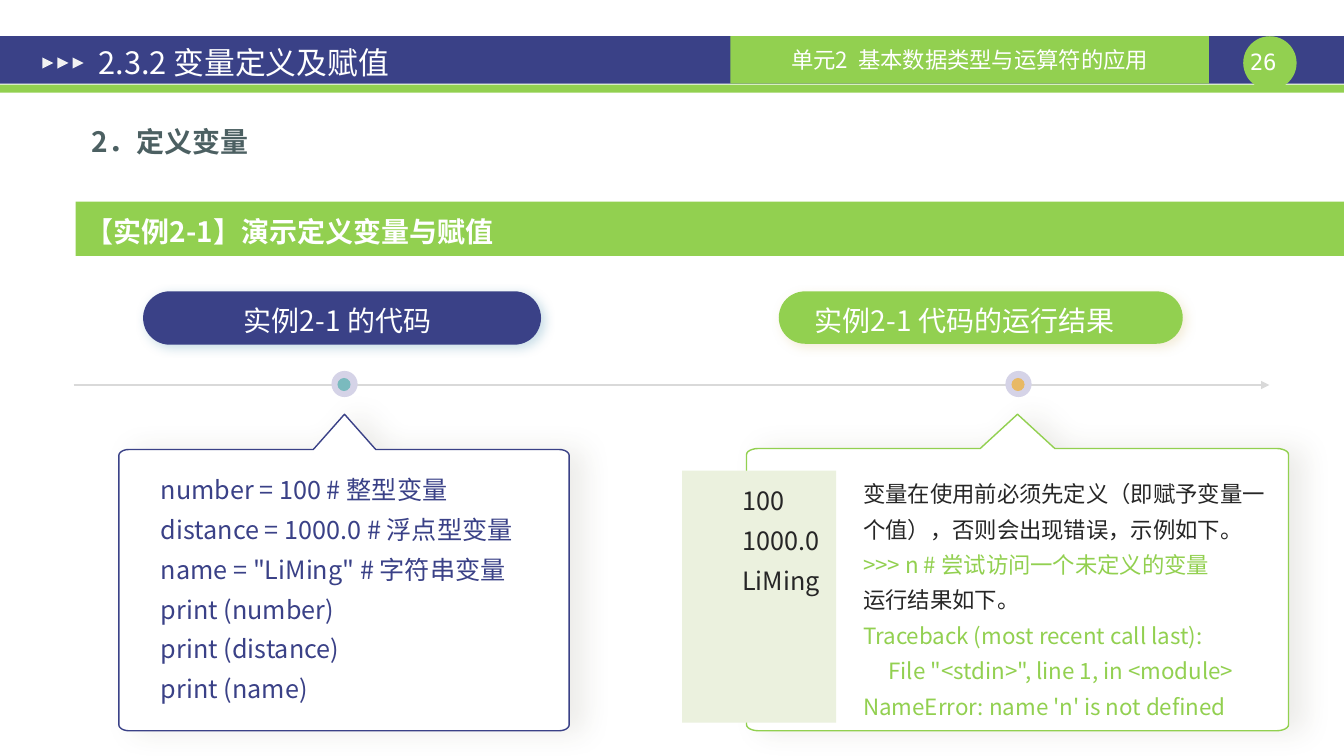
from dataclasses import dataclass
from math import cos, radians, sin
from typing import Optional

from lxml.etree import SubElement
from pptx import Presentation
from pptx.dml.color import RGBColor
from pptx.enum.shapes import MSO_CONNECTOR, MSO_SHAPE as Preset
from pptx.enum.text import MSO_ANCHOR as Anchor, PP_ALIGN as Align
from pptx.oxml.ns import qn
from pptx.util import Emu, Pt

EMU_PER_PX = 9144  # 100 px to the inch
SANS, MONO = "Noto Sans CJK SC", "DejaVu Sans Mono"
COLOURS = {
    "navy": "3A4187", "green": "92D050", "white": "FFFFFF", "arrow": "F2F2F2",
    "heading": "4C6062", "body": "262626", "output": "EBF1DE", "axis": "D9D9D9",
    "halo": "D5D3E7", "teal": "7ABABE", "amber": "E8B965",
    "callout_shadow": "4A452A", "navy_shadow": "2E7EA4", "green_shadow": "D3B76A",
}


@dataclass(frozen=True)
class Box:
    left: int
    top: int
    width: int
    height: int


@dataclass(frozen=True)
class Shadow:
    colour: str
    alpha: int
    blur: int
    distance: int
    angle: int


@dataclass(frozen=True)
class Style:
    size: int
    colour: str = "white"
    bold: bool = False
    align: Align = Align.LEFT
    spacing: float = 1.0
    first_indent: int = 0
    font: str = SANS


@dataclass(frozen=True)
class Line:
    text: str
    colour: Optional[str] = None
    margin: int = 0


@dataclass(frozen=True)
class Callout:
    box: Box
    colour: str
    tip_height: int
    tip_half: int
    tip_x: int
    corner_x: int
    corner_y: int = 6


@dataclass(frozen=True)
class Pill:
    box: Box
    label_box: Box
    label: str
    colour: str
    shadow: Shadow


def px(value: float) -> Emu:
    return Emu(round(value * EMU_PER_PX))


def rgb(name: str) -> RGBColor:
    return RGBColor.from_string(COLOURS[name])


def place(box: Box) -> tuple:
    return px(box.left), px(box.top), px(box.width), px(box.height)


def finish(shape, fill: str, shadow: Optional[Shadow] = None) -> None:
    """Set the fill and replace the theme shadow by the given one, if any."""
    shape.fill.solid()
    shape.fill.fore_color.rgb = rgb(fill)
    shape.shadow.inherit = False
    if shadow:
        effects = shape.element.spPr.find(qn("a:effectLst"))
        outer = SubElement(effects, qn("a:outerShdw"), blurRad=str(Pt(shadow.blur)),
                           dist=str(Pt(shadow.distance)), dir=str(shadow.angle * 60000),
                           algn="ctr", rotWithShape="0")
        tint = SubElement(outer, qn("a:srgbClr"), val=COLOURS[shadow.colour])
        SubElement(tint, qn("a:alpha"), val=str(shadow.alpha * 1000))


def draw_shape(slide, preset: Preset, box: Box, fill: str, shadow: Optional[Shadow] = None):
    shape = slide.shapes.add_shape(preset, *place(box))
    finish(shape, fill, shadow)
    shape.line.fill.background()
    return shape


def write(shape, lines: list[Line], style: Style, anchor: Anchor = Anchor.TOP,
          inset: tuple[int, int] = (10, 5)) -> None:
    frame = shape.text_frame
    frame.word_wrap = True
    frame.vertical_anchor = anchor
    frame.margin_left = frame.margin_right = px(inset[0])
    frame.margin_top = frame.margin_bottom = px(inset[1])
    for index, line in enumerate(lines):
        paragraph = frame.add_paragraph() if index else frame.paragraphs[0]
        paragraph.alignment = style.align
        paragraph.line_spacing = style.spacing
        properties = paragraph._p.get_or_add_pPr()
        properties.set("marL", str(px(line.margin)))
        properties.set("indent", str(px(style.first_indent)))
        run = paragraph.add_run()
        run.text = line.text
        run.font.size, run.font.bold, run.font.name = Pt(style.size), style.bold, style.font
        run.font.color.rgb = rgb(line.colour or style.colour)
        SubElement(run.font._element, qn("a:ea"), typeface=style.font)


def draw_text(slide, box: Box, lines: list[Line], style: Style, **layout) -> None:
    write(slide.shapes.add_textbox(*place(box)), lines, style, **layout)


def draw_callout(slide, callout: Callout) -> None:
    """Draw a rounded panel whose top edge rises to a pointed tip."""
    box = callout.box
    right, bottom = box.left + box.width, box.top + box.height
    shoulder = box.top + callout.tip_height
    rx, ry = callout.corner_x, callout.corner_y

    def corner(x: int, y: int, start: int) -> list[tuple]:
        angles = [radians(start - step) for step in range(0, 91, 15)]
        return [(px(x + rx * cos(a)), px(y + ry * sin(a))) for a in angles]

    tip = [(px(callout.tip_x + dx), px(y)) for dx, y in
           ((callout.tip_half, shoulder), (0, box.top), (-callout.tip_half, shoulder))]
    points = (corner(right - rx, bottom - ry, 90) + corner(right - rx, shoulder + ry, 0) + tip
              + corner(box.left + rx, shoulder + ry, -90)
              + corner(box.left + rx, bottom - ry, -180))
    builder = slide.shapes.build_freeform(*points[0], scale=1.0)
    builder.add_line_segments(points[1:], close=True)
    panel = builder.convert_to_shape()
    finish(panel, "white", Shadow("callout_shadow", 10, 20, 10, 0))
    panel.line.color.rgb = rgb(callout.colour)
    panel.line.width = Pt(1)


def draw_header(slide) -> None:
    draw_shape(slide, Preset.RECTANGLE, Box(0, 36, 1334, 47), "navy")
    draw_shape(slide, Preset.RECTANGLE, Box(0, 84, 1334, 8), "green")
    draw_shape(slide, Preset.OVAL, Box(1234, 36, 53, 53), "green")
    draw_text(slide, Box(1234, 48, 53, 27), [Line("26 ")],
              Style(16, align=Align.CENTER, font=MONO), inset=(0, 0))
    unit = draw_shape(slide, Preset.RECTANGLE, Box(725, 36, 475, 47), "green")
    write(unit, [Line("单元2  基本数据类型与运算符的应用")], Style(16, align=Align.CENTER),
          Anchor.MIDDLE)
    for index in range(3):
        arrow = Box(42 + 15 * index, 57, 11, 11)
        draw_shape(slide, Preset.ISOSCELES_TRIANGLE, arrow, "arrow").rotation = 90
    draw_text(slide, Box(85, 40, 720, 44), [Line("2.3.2 变量定义及赋值")], Style(22),
              anchor=Anchor.MIDDLE, inset=(13, 7))


def draw_timeline(slide) -> None:
    axis = slide.shapes.add_connector(MSO_CONNECTOR.STRAIGHT, px(73), px(382), px(1260), px(382))
    axis.line.color.rgb = rgb("axis")
    axis.line.width = Pt(1.25)
    SubElement(axis.line._get_or_add_ln(), qn("a:tailEnd"), type="triangle")
    SubElement(axis.element.spPr, qn("a:effectLst"))
    for left, core in ((329, "teal"), (998, "amber")):
        draw_shape(slide, Preset.OVAL, Box(left, 368, 26, 26), "halo")
        draw_shape(slide, Preset.OVAL, Box(left + 6, 375, 13, 13), core)


def main() -> None:
    deck = Presentation()
    deck.slide_width, deck.slide_height = px(1334), px(750)
    slide = deck.slides.add_slide(deck.slide_layouts[6])
    draw_header(slide)

    draw_callout(slide, Callout(Box(741, 411, 538, 314), "green", 34, 37, 1010, 12))
    draw_text(slide, Box(31, 108, 1248, 50), [Line("2．定义变量")],
              Style(20, "heading", bold=True, spacing=1.32, first_indent=50))
    draw_shape(slide, Preset.RECTANGLE, Box(75, 200, 1259, 54), "green")
    draw_text(slide, Box(75, 208, 600, 44), [Line("【实例2-1】演示定义变量与赋值")],
              Style(20, bold=True))
    output = draw_shape(slide, Preset.RECTANGLE, Box(677, 467, 153, 250), "output")
    write(output, [Line(value) for value in ("100", "1000.0", "LiMing")],
          Style(18, "body", spacing=1.32, first_indent=50))
    draw_timeline(slide)

    for pill in (
        Pill(Box(142, 289, 395, 53), Box(171, 290, 328, 47), "实例2-1 的代码", "navy",
             Shadow("navy_shadow", 25, 8, 3, 45)),
        Pill(Box(773, 289, 401, 52), Box(791, 290, 333, 47), "实例2-1 代码的运行结果", "green",
             Shadow("green_shadow", 25, 8, 3, 45)),
    ):
        capsule = draw_shape(slide, Preset.ROUNDED_RECTANGLE, pill.box, pill.colour, pill.shadow)
        capsule.adjustments[0] = 0.5
        draw_text(slide, pill.label_box, [Line(pill.label)],
                  Style(20, align=Align.CENTER, spacing=1.2))

    draw_callout(slide, Callout(Box(118, 411, 447, 314), "navy", 35, 31, 342, 10))
    code = ("number = 100 # 整型变量", "distance = 1000.0 # 浮点型变量",
            'name = "LiMing" # 字符串变量', "print (number)", "print (distance)", "print (name)")
    draw_text(slide, Box(100, 456, 447, 250), [Line(text) for text in code],
              Style(18, "navy", spacing=1.32, first_indent=50))
    draw_text(slide, Box(847, 463, 436, 259), [
        Line("变量在使用前必须先定义（即赋予变量一个值），否则会出现错误，示例如下。"),
        Line(">>> n # 尝试访问一个未定义的变量", "green"),
        Line("运行结果如下。"),
        Line("Traceback (most recent call last):", "green"),
        Line('File "<stdin>", line 1, in <module>', "green", margin=25),
        Line("NameError: name 'n' is not defined", "green"),
    ], Style(16, "body", spacing=1.32))
    deck.save("out.pptx")


if __name__ == "__main__":
    main()
